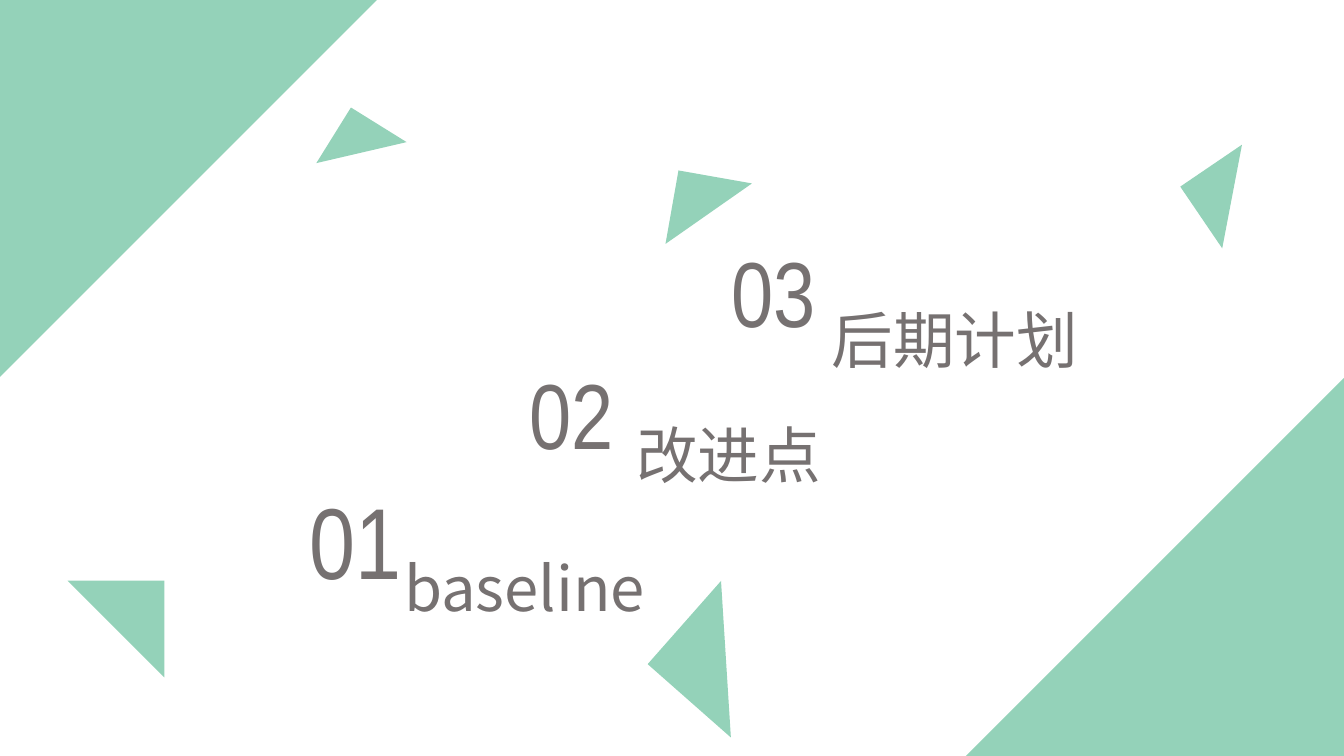
from lxml import etree
from pptx import Presentation
from pptx.dml.color import RGBColor
from pptx.enum.shapes import MSO_SHAPE
from pptx.enum.text import MSO_AUTO_SIZE
from pptx.oxml.ns import qn
from pptx.util import Pt

RIGHT_TRIANGLE = MSO_SHAPE.RIGHT_TRIANGLE
GROW = MSO_AUTO_SIZE.SHAPE_TO_FIT_TEXT
PX = 9144  # 100 px to the inch
WIDTH, HEIGHT = 1333, 750
COLORS = {"mint": "94D2B9", "gray": "767171"}
NUMBER_FONT = "Arial Narrow"
LATIN_FONT = "Noto Sans CJK SC"
CHINESE_FONT = "Noto Sans CJK JP"

# left, top, side, rotation
CONFETTI = [
    (326, 119, 65, 31.9),
    (67, 576, 96, 90),
    (665, 599, 110, 311.4),
    (1185, 158, 74, 325.8),
    (666, 175, 74, 10),
]

# left, top, height, number, number size, title offset, title, title font
AGENDA = [
    (297, 470, 131, "01", 72, (94, 71), "baseline", LATIN_FONT),
    (515, 349, 121, "02", 66, (106, 60), "改进点", CHINESE_FONT),
    (716, 228, 121, "03", 66, (99, 67), "后期计划", CHINESE_FONT),
]


def add_triangle(slide, left, top, side, rotation=0, flip="flipV"):
    shape = slide.shapes.add_shape(
        RIGHT_TRIANGLE, left * PX, top * PX, side * PX, side * PX)
    shape.shadow.inherit = False
    shape.fill.solid()
    shape.fill.fore_color.rgb = RGBColor.from_string(COLORS["mint"])
    shape.line.fill.background()
    shape.rotation = rotation
    shape.element.spPr.find(qn("a:xfrm")).set(flip, "1")


def add_text(slide, left, top, width, height, text, size, font_name):
    box = slide.shapes.add_textbox(
        left * PX, top * PX, width * PX, height * PX)
    frame = box.text_frame
    frame.word_wrap = True
    frame.auto_size = GROW
    paragraph = frame.paragraphs[0]
    paragraph.text = text
    font = paragraph.font
    font.size = Pt(size)
    font.color.rgb = RGBColor.from_string(COLORS["gray"])
    font.name = font_name
    # Chinese characters take their typeface from a:ea
    defaults = next(box.element.iter(qn("a:defRPr")))
    etree.SubElement(defaults, qn("a:ea")).set("typeface", font_name)


def add_corners(slide, width, height):
    bottom_side, top_side = 375, 374
    add_triangle(slide, width - bottom_side, height - bottom_side,
                 bottom_side, flip="flipH")
    add_triangle(slide, 0, 0, top_side)


def add_agenda_item(slide, left, top, height, number, size, offset, title,
                    title_font):
    add_text(slide, left, top, 122, height, number, size, NUMBER_FONT)
    add_text(slide, left + offset[0], top + offset[1], 269, 84, title, 44,
             title_font)


def build_agenda_slide(presentation):
    slide = presentation.slides.add_slide(presentation.slide_layouts[6])
    add_corners(slide, WIDTH, HEIGHT)
    for item in AGENDA:
        add_agenda_item(slide, *item)
    for triangle in CONFETTI:
        add_triangle(slide, *triangle)


def main():
    presentation = Presentation()
    presentation.slide_width = WIDTH * PX
    presentation.slide_height = HEIGHT * PX
    build_agenda_slide(presentation)
    presentation.save("out.pptx")


if __name__ == "__main__":
    main()
